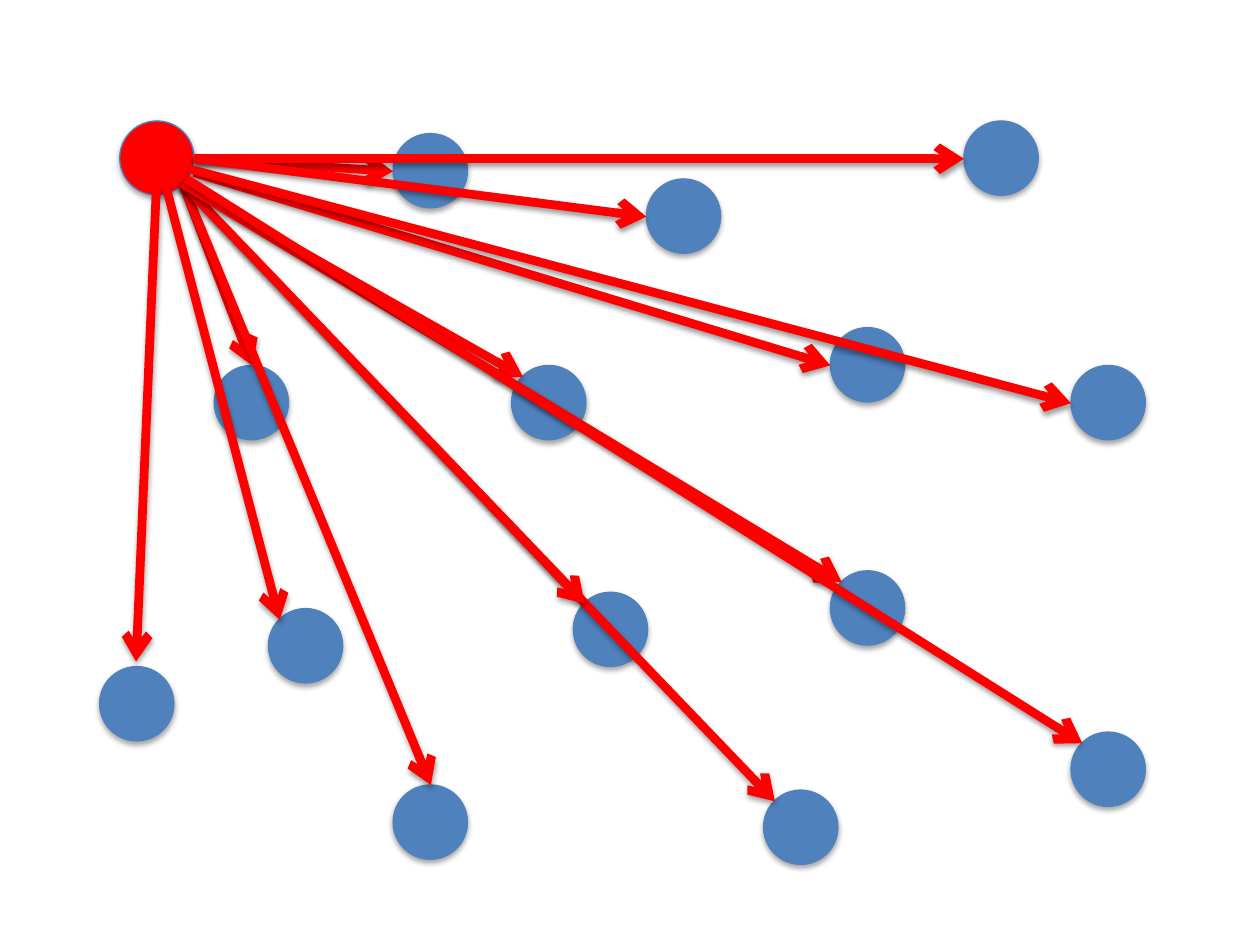
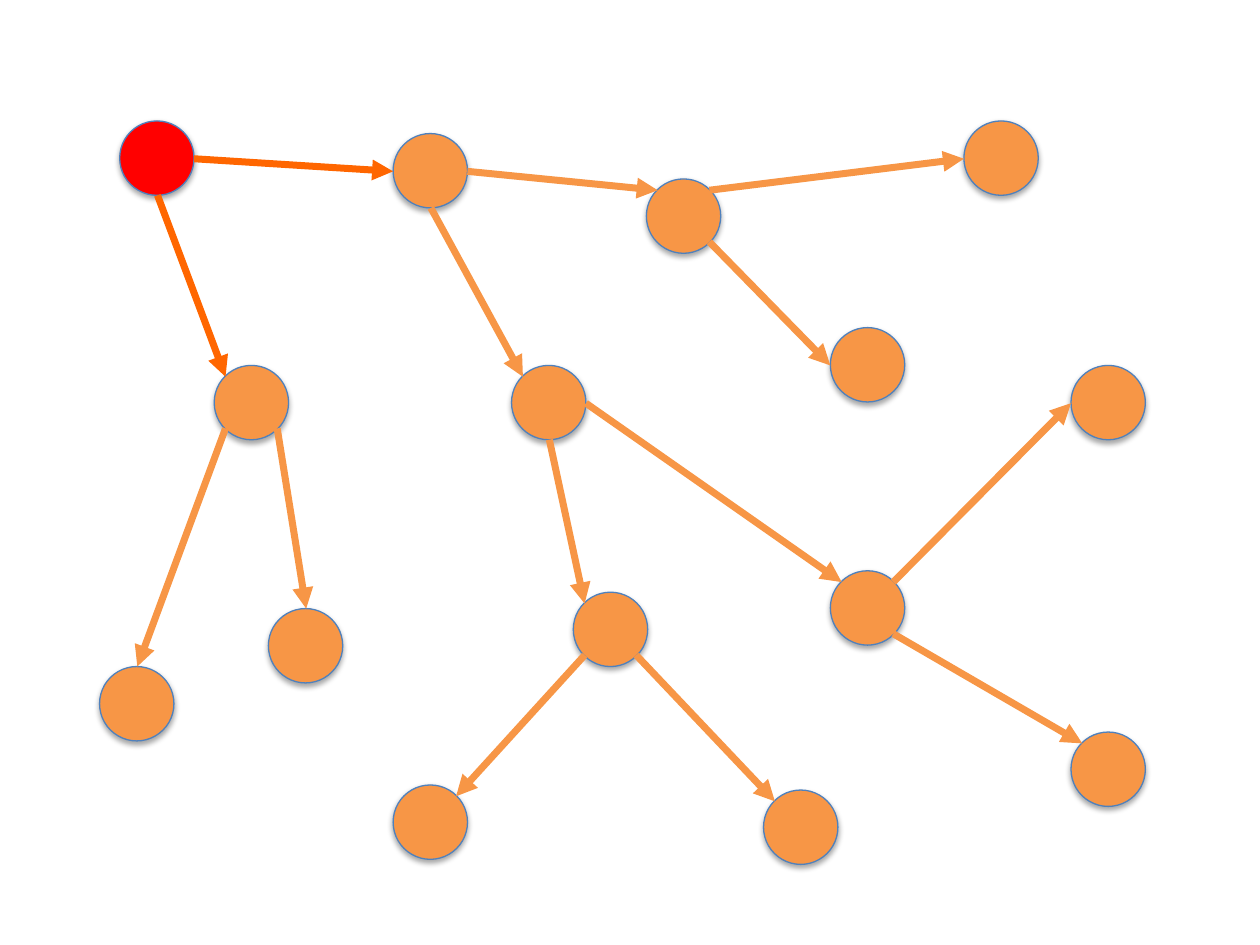
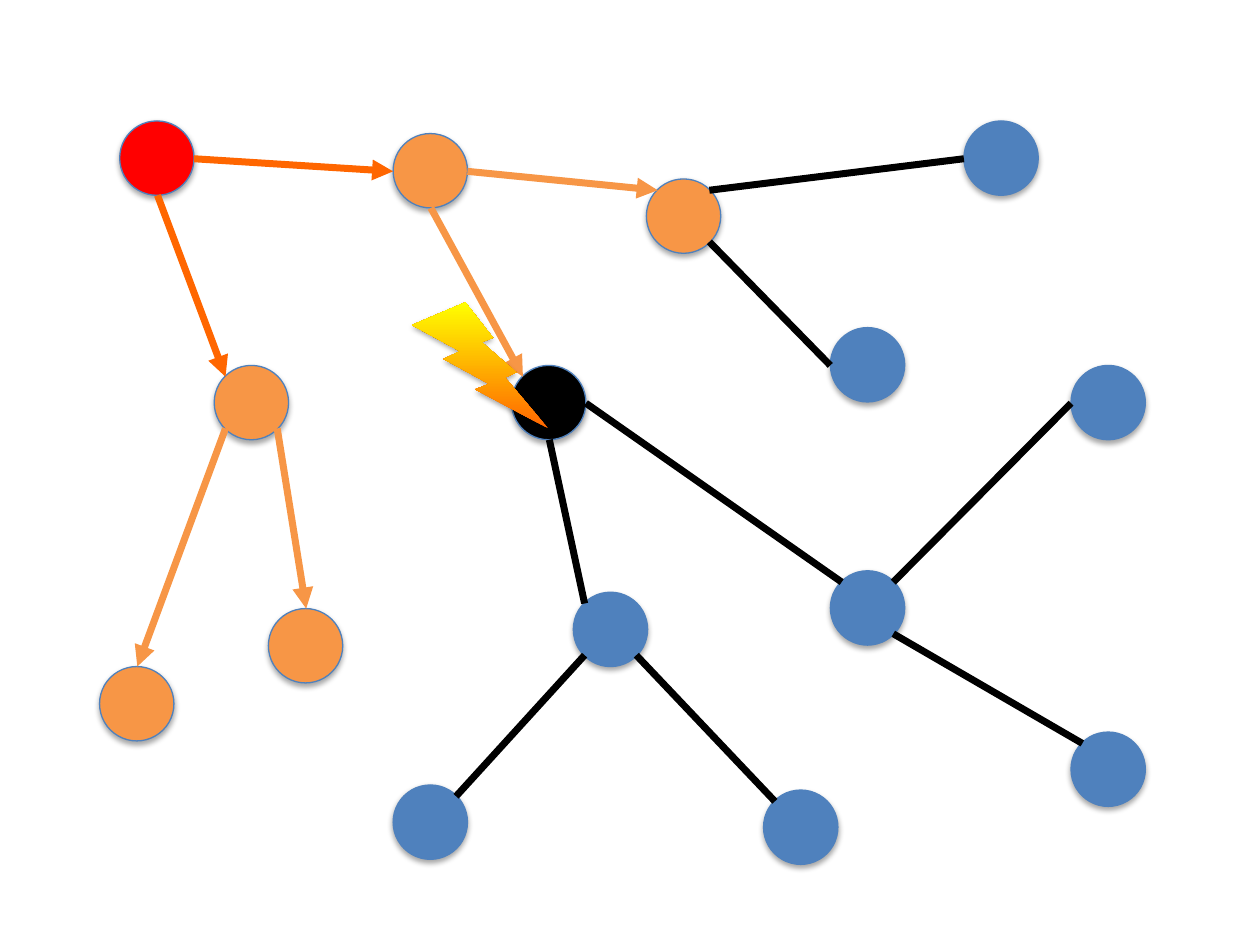
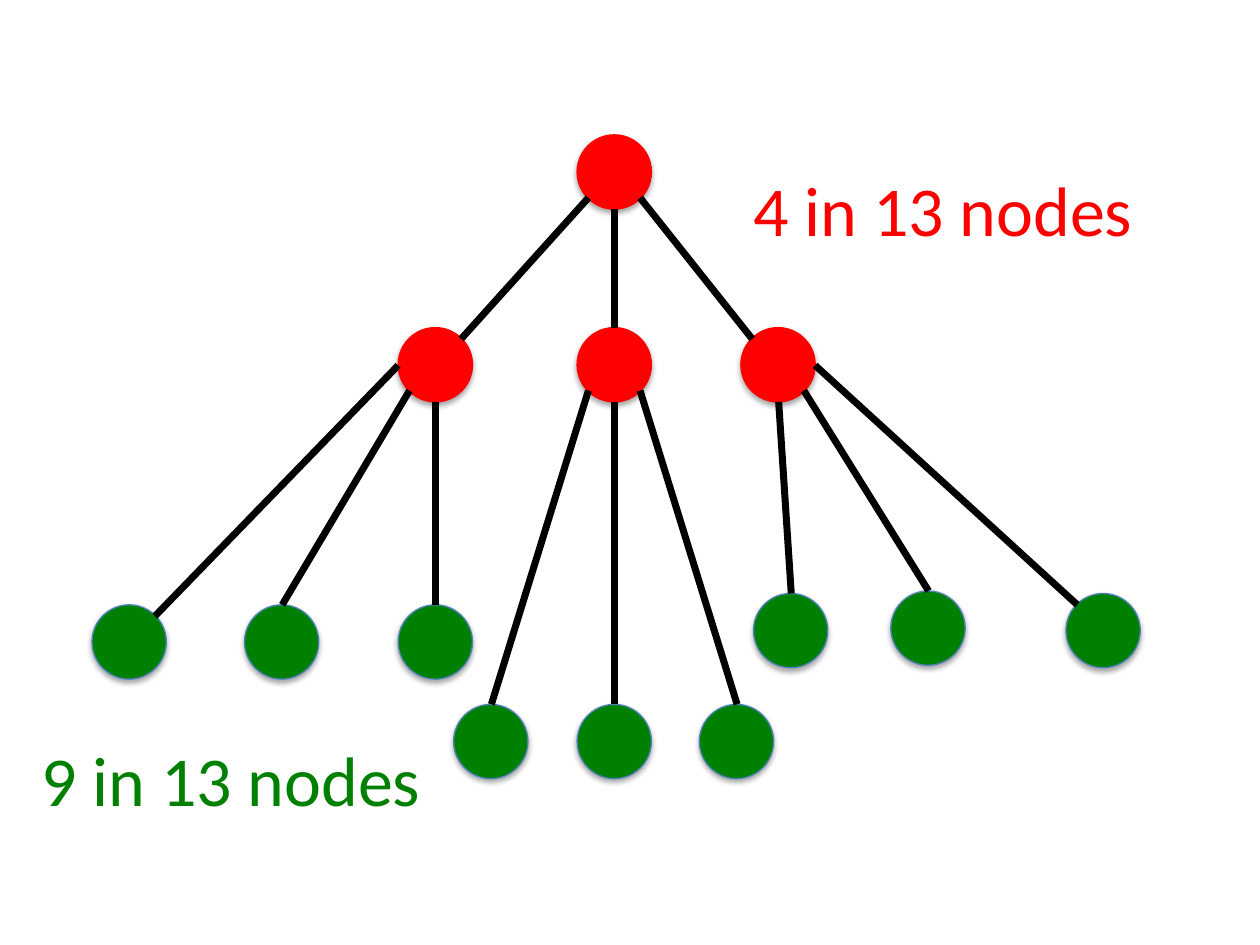
from lxml.etree import SubElement
from pptx import Presentation
from pptx.dml.color import RGBColor
from pptx.enum.shapes import MSO_CONNECTOR, MSO_SHAPE
from pptx.enum.text import MSO_AUTO_SIZE
from pptx.oxml.ns import qn
from pptx.util import Pt

PX = 9144  # EMU per px, 100 px to the inch
NODE_SIZE = 59
COLORS = {
    "red": "FF0000",
    "blue": "4F81BD",
    "orange": "F79646",
    "deep orange": "FF6600",
    "yellow": "FFFF00",
    "black": "000000",
    "green": "008000",
}
RGB = {name: RGBColor.from_string(value) for name, value in COLORS.items()}

# Points on a node where lines meet it, measured from its top left corner
SITES = {
    "top": (30, 0), "top left": (9, 9), "left": (0, 30), "bottom left": (9, 50),
    "bottom": (30, 59), "bottom right": (50, 50), "right": (59, 30), "top right": (50, 9),
}

NETWORK = {
    "root": (95, 96), "hub": (312, 106), "west": (170, 290),
    "north": (513, 142), "center": (406, 290), "west right": (213, 483),
    "south": (455, 470), "north low": (659, 260), "north high": (765, 96),
    "east high": (850, 290), "east": (659, 453), "east low": (850, 581),
    "south right": (606, 627), "south left": (312, 623), "west left": (79, 529),
}

BROADCAST_LINES = [
    ((124, 151), (108, 525)),
    ((132, 149), ("west right", "top left")),
    (("root", "bottom right"), ("west", "top")),
    (("root", "bottom right"), ("south left", "top")),
    (("root", "bottom right"), ("south right", "top left")),
    (("root", "bottom right"), ("south", "top left")),
    (("root", "right"), ("hub", "left")),
    (("root", "right"), ("north high", "left")),
    (("root", "right"), ("north", "left")),
    (("root", "bottom right"), ("center", "top left")),
    ((154, 137), ("north low", "left")),
    ((150, 134), ("east high", "left")),
    (("root", "bottom right"), ("east", "top left")),
    ((148, 142), ("east low", "top left")),
]

ROOT_LINES = [
    (("root", "bottom"), ("west", "top left")),
    (("root", "right"), ("hub", "left")),
]
NEAR_LINES = [
    (("west", "bottom left"), ("west left", "top")),
    (("west", "bottom right"), ("west right", "top")),
    (("hub", "right"), ("north", "top left")),
    (("hub", "bottom"), ("center", "top left")),
]
FAR_LINES = [
    (("north", "top right"), ("north high", "left")),
    (("north", "bottom right"), ("north low", "left")),
    (("center", "bottom"), ("south", "top left")),
    (("center", "right"), ("east", "top left")),
    (("south", "bottom left"), ("south left", "top right")),
    (("south", "bottom right"), ("south right", "top left")),
    (("east", "top right"), ("east high", "left")),
    (("east", "bottom right"), ("east low", "top left")),
]

HIERARCHY = {
    "top": (458, 107), "left": (316, 260), "middle": (458, 260), "right": (588, 260),
    "left 1": (73, 480), "left 2": (194, 480), "left 3": (316, 480),
    "middle 1": (360, 559), "middle 2": (458, 559), "middle 3": (555, 559),
    "right 1": (598, 471), "right 2": (707, 469), "right 3": (846, 471),
}
HIERARCHY_LINES = [
    (("top", "bottom left"), ("left", "top right")),
    (("top", "bottom"), ("middle", "top")),
    (("top", "bottom right"), ("right", "top left")),
    (("left", "left"), ("left 1", "top right")),
    (("left", "bottom left"), ("left 2", "top")),
    (("left", "bottom"), ("left 3", "top")),
    (("middle", "bottom left"), ("middle 1", "top")),
    (("middle", "bottom"), ("middle 2", "top")),
    (("middle", "bottom right"), ("middle 3", "top")),
    (("right", "bottom"), ("right 1", "top")),
    (("right", "bottom right"), ("right 2", "top")),
    (("right", "right"), ("right 3", "top left")),
]

# Each scene: nodes, usual fill, other fills, line groups (lines, color, arrowhead)
SCENES = {
    "broadcast": (NETWORK, "blue", {"root": "red"}, [(BROADCAST_LINES, "red", "arrow")]),
    "relay": (NETWORK, "orange", {"root": "red"}, [
        (ROOT_LINES, "deep orange", "triangle"),
        (NEAR_LINES + FAR_LINES, "orange", "triangle"),
    ]),
    "failure": (
        NETWORK, "blue",
        {"root": "red", "center": "black"}
        | dict.fromkeys(["hub", "west", "north", "west left", "west right"], "orange"),
        [
            (ROOT_LINES, "deep orange", "triangle"),
            (NEAR_LINES, "orange", "triangle"),
            (FAR_LINES, "black", None),
        ],
    ),
    "hierarchy": (
        HIERARCHY, "green", dict.fromkeys(["top", "left", "middle", "right"], "red"),
        [(HIERARCHY_LINES, "black", None)],
    ),
}


def add_text(slide, text, *, left, top, width, height, color, size=40, font="Calibri"):
    box = slide.shapes.add_textbox(left * PX, top * PX, width * PX, height * PX)
    box.text_frame.word_wrap = False
    box.text_frame.auto_size = MSO_AUTO_SIZE.SHAPE_TO_FIT_TEXT
    run = box.text_frame.paragraphs[0].add_run()
    run.text = text
    run.font.name = font
    run.font.size = Pt(size)
    run.font.color.rgb = RGB[color]


presentation = Presentation()
presentation.slide_width = 1000 * PX
presentation.slide_height = 750 * PX
slides = {}

for scene, (nodes, usual_fill, other_fills, line_groups) in SCENES.items():
    slide = slides[scene] = presentation.slides.add_slide(presentation.slide_layouts[6])

    # Nodes keep the soft shadow of the theme
    for name, (left, top) in nodes.items():
        fill = other_fills.get(name, usual_fill)
        outline = "red" if scene == "hierarchy" and fill == "red" else "blue"
        node = slide.shapes.add_shape(
            MSO_SHAPE.OVAL, left * PX, top * PX, NODE_SIZE * PX, NODE_SIZE * PX)
        node.fill.solid()
        node.fill.fore_color.rgb = RGB[fill]
        node.line.color.rgb = RGB[outline]
        node.line.width = Pt(0.75)

    for lines, color, arrowhead in line_groups:
        for line in lines:
            ends = []
            for end in line:
                if end[0] in nodes:
                    name, site = end
                    end = [a + b for a, b in zip(nodes[name], SITES[site])]
                ends += [length * PX for length in end]
            connector = slide.shapes.add_connector(MSO_CONNECTOR.STRAIGHT, *ends)
            connector.line.color.rgb = RGB[color]
            connector.line.width = Pt(5 if scene == "broadcast" else 4)
            if arrowhead:
                SubElement(connector.line._get_or_add_ln(), qn("a:tailEnd"), type=arrowhead)
            if scene != "broadcast":
                SubElement(connector._element.spPr, qn("a:effectLst"))

# The bolt strikes the center node
bolt = slides["failure"].shapes.add_shape(
    MSO_SHAPE.LIGHTNING_BOLT, 327 * PX, 240 * PX, 108 * PX, 100 * PX)
bolt.fill.gradient()
bolt.fill.gradient_angle = 90
for stop, color in zip(bolt.fill.gradient_stops, ["deep orange", "yellow"]):
    stop.color.rgb = RGB[color]
bolt.line.fill.background()

for text, left, top, color in [
    ("4 in 13 nodes", 588, 127, "red"),
    ("9 in 13 nodes", 23, 580, "green"),
]:
    add_text(slides["hierarchy"], text, left=left, top=top, width=322, height=77, color=color)

presentation.save("out.pptx")
